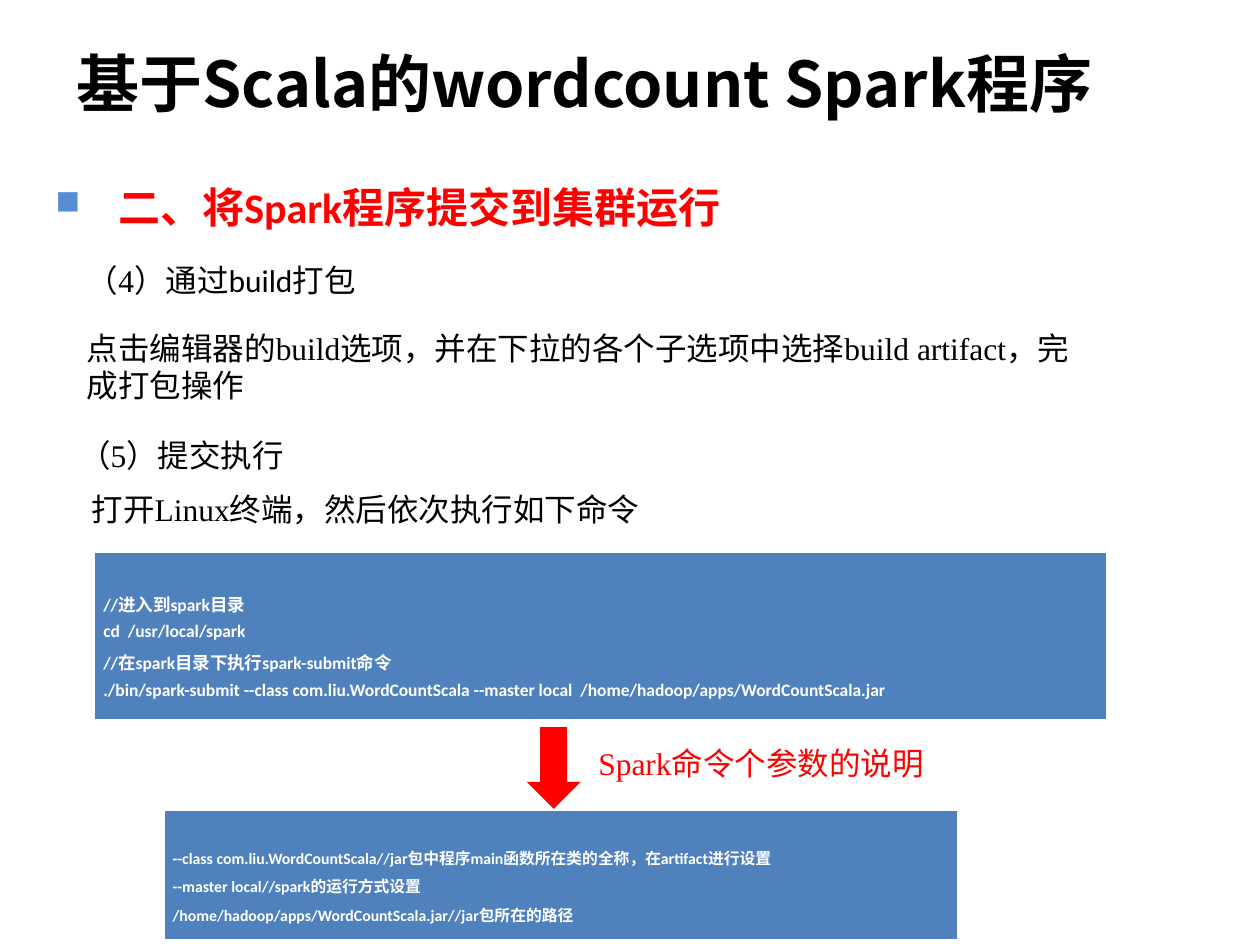
from lxml import etree
from pptx import Presentation
from pptx.dml.color import RGBColor
from pptx.enum import shapes, text
from pptx.oxml.ns import qn
from pptx.util import Inches, Pt

BLACK = RGBColor(0x00, 0x00, 0x00)
WHITE = RGBColor(0xFF, 0xFF, 0xFF)
RED = RGBColor(0xFF, 0x00, 0x00)
BLUE = RGBColor(0x4F, 0x81, 0xBD)
BULLET_BLUE = RGBColor(0x55, 0x8E, 0xD5)
SANS, SERIF, TITLE_FONT = "Calibri", "Times New Roman", "Noto Sans CJK SC"


def style(font, name, size, color, bold=False):
    font.name, font.size, font.bold = name, Pt(size), bold
    font.color.rgb = color


def add_bullet(para, char, color, indent):
    props = para._p.get_or_add_pPr()
    props.set("marL", str(indent))
    props.set("indent", str(-indent))
    bullet_color = etree.SubElement(props, qn("a:buClr"))
    etree.SubElement(bullet_color, qn("a:srgbClr"), val=str(color))
    etree.SubElement(props, qn("a:buSzPct"), val="80000")
    etree.SubElement(props, qn("a:buChar"), char=char)


def add_text(page, box, spans, size=18, color=BLACK, bold=False, bullet=None):
    """Place one paragraph made of (wording, font name) spans."""
    frame = page.shapes.add_textbox(*map(Inches, box)).text_frame
    frame.word_wrap = True
    para = frame.paragraphs[0]
    if bullet:
        add_bullet(para, bullet, BULLET_BLUE, Inches(0.5))
    style(para.font, spans[0][1], size, color, bold)
    for wording, font_name in spans:
        span = para.add_run()
        span.text = wording
        style(span.font, font_name, size, color, bold)


def add_code_table(page, box, lines, size, top_margin):
    table = page.shapes.add_table(1, 1, *map(Inches, box)).table
    table.first_row = table.horz_banding = False
    cell = table.cell(0, 0)
    cell.fill.solid()
    cell.fill.fore_color.rgb = BLUE
    cell.margin_left = cell.margin_right = Inches(0.07)
    cell.margin_top = Inches(top_margin)
    cell.text_frame.text = "\n".join(lines)
    for para in cell.text_frame.paragraphs:
        para.alignment = text.PP_ALIGN.JUSTIFY
        para.line_spacing = 1.25
        style(para.font, SANS, size, WHITE, bold=True)


def add_down_arrow(page, box):
    arrow = page.shapes.add_shape(shapes.MSO_SHAPE.DOWN_ARROW, *map(Inches, box))
    arrow.shadow.inherit = False
    arrow.fill.solid()
    arrow.fill.fore_color.rgb = RED
    arrow.line.fill.background()


def add_steps(page):
    add_text(page, (0.59, 2.02, 8.58, 0.4), [("（4）", SERIF), ("通过build打包", SANS)])
    add_text(page, (0.59, 2.56, 8.19, 0.7),
             [("点击编辑器的build选项，并在下拉的各个子选项中选择build artifact，完成打包操作", SERIF)])
    add_text(page, (0.53, 3.41, 8.59, 0.4), [("（5）", SERIF), ("提交执行", SANS)])
    add_text(page, (0.63, 3.84, 4.9, 0.4),
             [("打开Linux终端，然后依次执行如下命令", SERIF)])


def add_commands(page):
    add_code_table(page, (0.75, 4.38, 8.03, 1.33), [
        "//进入到spark目录",
        "cd  /usr/local/spark",
        "//在spark目录下执行spark-submit命令",
        "./bin/spark-submit --class com.liu.WordCountScala --master local"
        "  /home/hadoop/apps/WordCountScala.jar",
    ], size=10, top_margin=0.26)
    add_down_arrow(page, (4.18, 5.77, 0.43, 0.65))
    add_text(page, (4.65, 5.86, 2.95, 0.4), [("Spark命令个参数的说明", SERIF)],
             color=RED)
    add_code_table(page, (1.3, 6.43, 6.3, 1.03), [
        "--class com.liu.WordCountScala//jar包中程序main函数所在类的全称，在artifact进行设置",
        "--master local//spark的运行方式设置",
        "/home/hadoop/apps/WordCountScala.jar//jar包所在的路径",
    ], size=9, top_margin=0.24)


def main():
    deck = Presentation()
    deck.slide_width, deck.slide_height = Inches(10), Inches(7.5)
    page = deck.slides.add_slide(deck.slide_layouts[6])
    add_text(page, (0.51, 0.3, 9, 1.25),
             [("基于Scala的wordcount Spark程序", TITLE_FONT)], size=36, bold=True)
    add_text(page, (0.34, 1.39, 9.28, 0.5), [("二、将Spark程序提交到集群运行", SANS)],
             size=24, color=RED, bold=True, bullet="■")
    add_steps(page)
    add_commands(page)
    deck.save("out.pptx")


if __name__ == "__main__":
    main()
